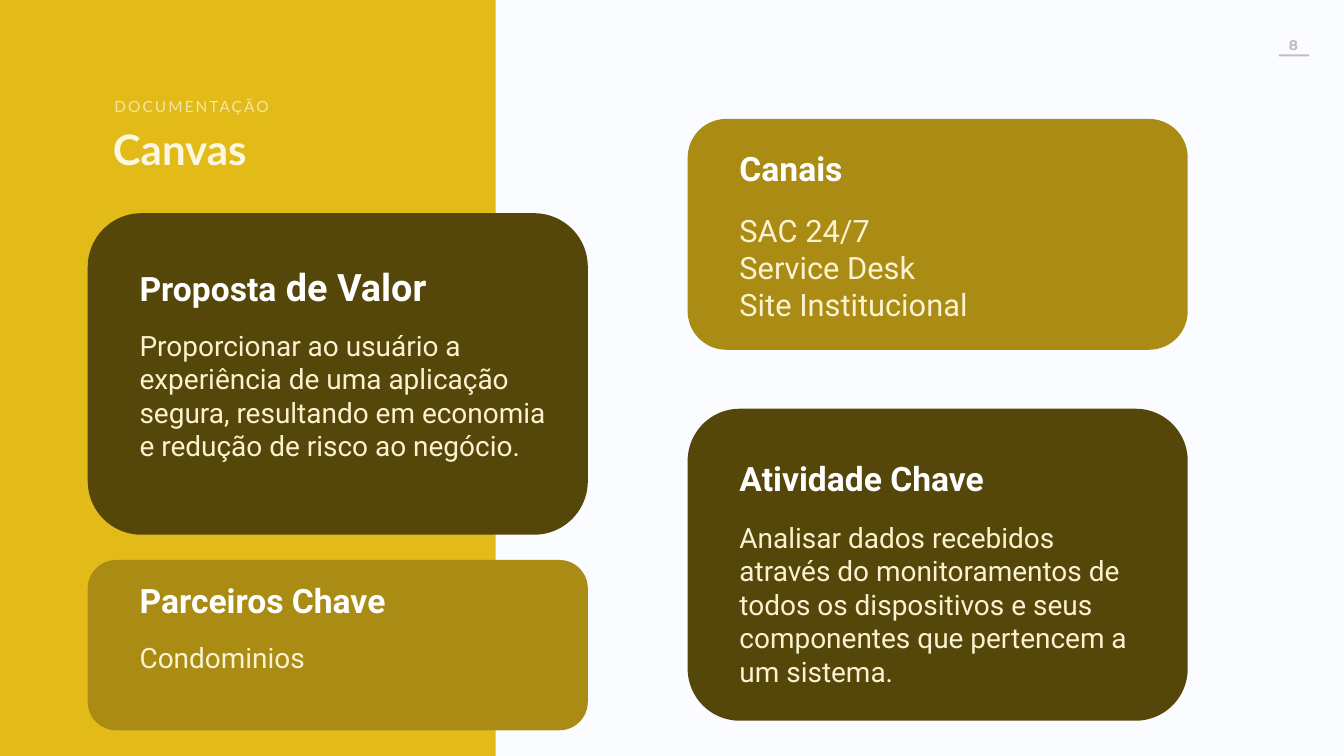
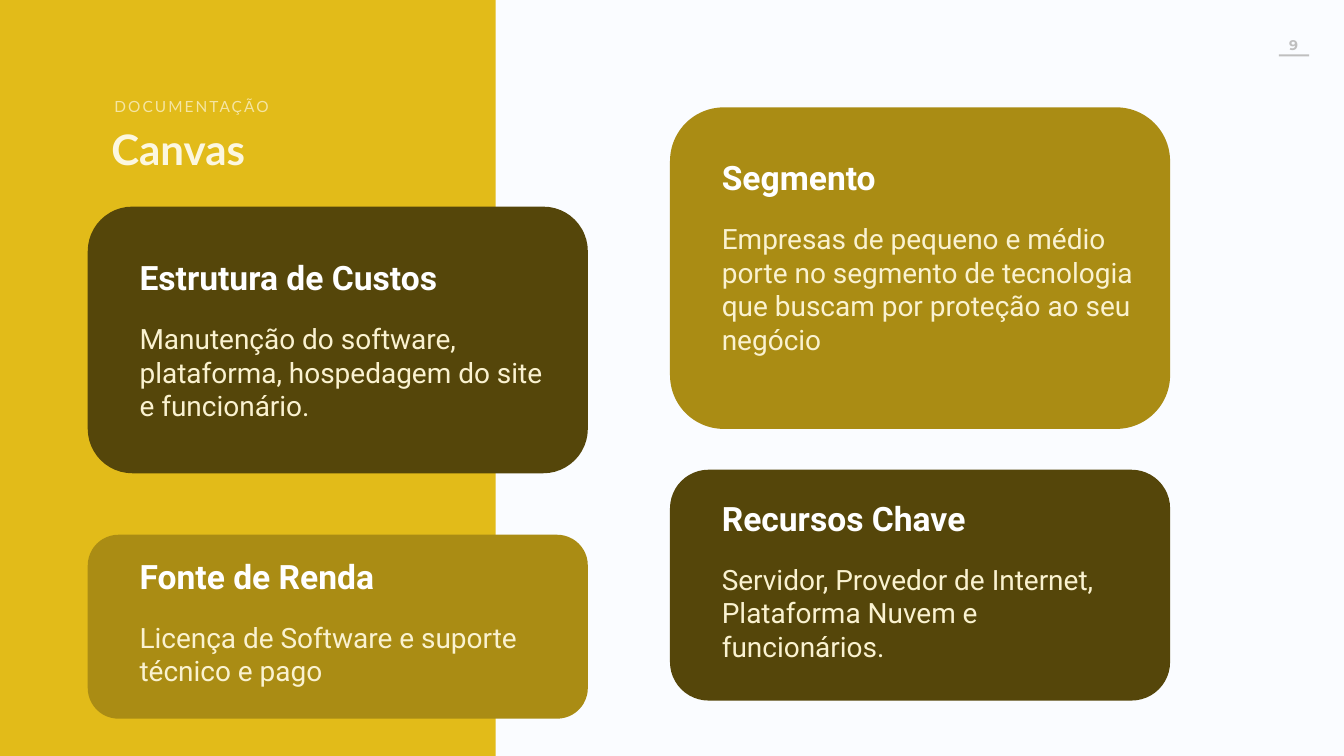
"""Build two business canvas slides with a yellow side band and rounded cards."""
from pptx import Presentation
from pptx.dml.color import RGBColor
from pptx.enum.shapes import MSO_SHAPE
from pptx.enum.text import MSO_ANCHOR, MSO_AUTO_SIZE, PP_ALIGN
from pptx.util import Inches, Pt

COLORS = {
    "background": "FAFCFF",
    "band": "E2BB19",
    "dark": "55460A",
    "gold": "AA8C14",
    "title": "FCF7E0",
    "section": "F5E5A2",
    "heading": "FFFFFF",
    "body": "FAF2D0",
    "number": "BFBFBF",
}
CARD_WIDTH = 9.92
TEXT_INDENT = 0.93
LEFT_CARD = 1.74

SLIDES = [
    {
        "number": "8",
        "title_position": (2.14, 2.41),
        "cards": [
            {"left": LEFT_CARD, "top": 4.23, "height": 6.38, "color": "dark",
             "heading": [("Proposta", 48), (" de Valor", 54)], "heading_top": 5.18,
             "body": "Proporcionar ao usuário a experiência de uma aplicação segura, "
                     "resultando em economia e redução de risco ao negócio.",
             "body_top": 6.46, "body_height": 3.43, "body_size": 40},
            {"left": LEFT_CARD, "top": 11.11, "height": 3.38, "color": "gold",
             "heading": [("Parceiros Chave", 48)], "heading_top": 11.46,
             "body": "Condominios",
             "body_top": 12.65, "body_height": 0.77, "body_size": 40},
            {"left": 13.64, "top": 8.11, "height": 6.19, "color": "dark",
             "heading": [("Atividade Chave", 48)], "heading_top": 9.03,
             "body": "Analisar dados recebidos através do monitoramentos de todos os "
                     "dispositivos e seus componentes que pertencem a um sistema.",
             "body_top": 10.27, "body_height": 3.33, "body_size": 40},
            {"left": 13.64, "top": 2.36, "height": 4.58, "color": "gold",
             "heading": [("Canais", 48)], "heading_top": 2.88,
             "body": "SAC 24/7\nService Desk\nSite Institucional",
             "body_top": 4.15, "body_height": 2.3, "body_size": 44},
        ],
    },
    {
        "number": "9",
        "title_position": (2.11, 2.4),
        "cards": [
            {"left": LEFT_CARD, "top": 4.1, "height": 5.29, "color": "dark",
             "heading": [("Estrutura de Custos", 48)], "heading_top": 5.05,
             "body": "Manutenção do software, plataforma, hospedagem do site "
                     "e funcionário.",
             "body_top": 6.33, "body_height": 2.1, "body_size": 40},
            {"left": LEFT_CARD, "top": 10.61, "height": 3.65, "color": "gold",
             "heading": [("Fonte de Renda", 48)], "heading_top": 10.98,
             "body": "Licença de Software e suporte técnico e pago",
             "body_top": 12.26, "body_height": 1.43, "body_size": 40},
            {"left": 13.29, "top": 9.32, "height": 4.58, "color": "dark",
             "heading": [("Recursos Chave", 48)], "heading_top": 9.84,
             "body": "Servidor, Provedor de Internet, Plataforma Nuvem e funcionários.",
             "body_top": 11.11, "body_height": 2.1, "body_size": 40},
            {"left": 13.29, "top": 2.13, "height": 6.38, "color": "gold",
             "heading": [("Segmento", 48)], "heading_top": 3.07,
             "body": "Empresas de pequeno e médio porte no segmento de tecnologia "
                     "que buscam por proteção ao seu negócio",
             "body_top": 4.35, "body_height": 2.76, "body_size": 40},
        ],
    },
]


def add_block(shapes, kind, box, color):
    shape = shapes.add_shape(kind, *map(Inches, box))
    shape.shadow.inherit = False
    shape.fill.solid()
    shape.fill.fore_color.rgb = RGBColor.from_string(COLORS[color])
    shape.line.fill.background()
    return shape


def write_text(shape, text, font_name, size, color, bold=False, wrap=True,
               alignment=PP_ALIGN.LEFT):
    frame = shape.text_frame
    frame.text = text
    frame.word_wrap = wrap
    frame.auto_size = MSO_AUTO_SIZE.NONE
    frame.vertical_anchor = MSO_ANCHOR.TOP
    frame.margin_left = frame.margin_right = Inches(0.1)
    frame.margin_top = frame.margin_bottom = Inches(0.05)
    for paragraph in frame.paragraphs:
        paragraph.alignment = alignment
        paragraph.line_spacing = 1.0
        for run in paragraph.runs:
            run.font.name = font_name
            run.font.size = Pt(size)
            run.font.bold = bold
            run.font.color.rgb = RGBColor.from_string(COLORS[color])
    return frame


presentation = Presentation()
presentation.slide_width = Inches(26.66)
presentation.slide_height = Inches(15)
background = presentation.slide_master.background.fill
background.solid()
background.fore_color.rgb = RGBColor.from_string(COLORS["background"])

for content in SLIDES:
    slide = presentation.slides.add_slide(presentation.slide_layouts[5])
    shapes = slide.shapes

    number = shapes.add_textbox(Inches(24.53), Inches(0.67), Inches(2.26), Inches(0.43))
    write_text(number, content["number"], "Montserrat", 20, "number", bold=True,
               wrap=False, alignment=PP_ALIGN.CENTER)
    add_block(shapes, MSO_SHAPE.RECTANGLE, (25.37, 1.08, 0.6, 0.04), "number")
    band = add_block(shapes, MSO_SHAPE.RECTANGLE, (-0.09, 0, 9.92, 15), "band")

    title = shapes.title
    band._element.addnext(title._element)
    title.left, title.top = map(Inches, content["title_position"])
    title.width, title.height = Inches(3.56), Inches(1.1)
    write_text(title, "Canvas", "Lato", 60, "title", bold=True, wrap=False)

    section = shapes.add_textbox(Inches(2.17), Inches(1.88), Inches(2.18), Inches(0.47))
    frame = write_text(section, "DOCUMENTAÇÃO", "Lato", 22, "section", wrap=False)
    frame.paragraphs[0].runs[0]._r.get_or_add_rPr().set("spc", "300")

    for card in content["cards"]:
        group = shapes.add_group_shape()
        panel = add_block(group.shapes, MSO_SHAPE.ROUNDED_RECTANGLE,
                          (card["left"], card["top"], CARD_WIDTH, card["height"]),
                          card["color"])
        panel.adjustments[0] = 0.167
        text_left = Inches(card["left"] + TEXT_INDENT)

        heading = group.shapes.add_textbox(text_left, Inches(card["heading_top"]),
                                           Inches(6.69), Inches(0.9))
        (first_text, first_size), *others = card["heading"]
        frame = write_text(heading, first_text, "Roboto", first_size, "heading", bold=True)
        for text, size in others:
            run = frame.paragraphs[0].add_run()
            run.text = text
            run.font.name = "Roboto"
            run.font.size = Pt(size)
            run.font.bold = True
            run.font.color.rgb = RGBColor.from_string(COLORS["heading"])

        body = group.shapes.add_textbox(text_left, Inches(card["body_top"]),
                                        Inches(8.36), Inches(card["body_height"]))
        write_text(body, card["body"], "Roboto", card["body_size"], "body")

presentation.save("out.pptx")
